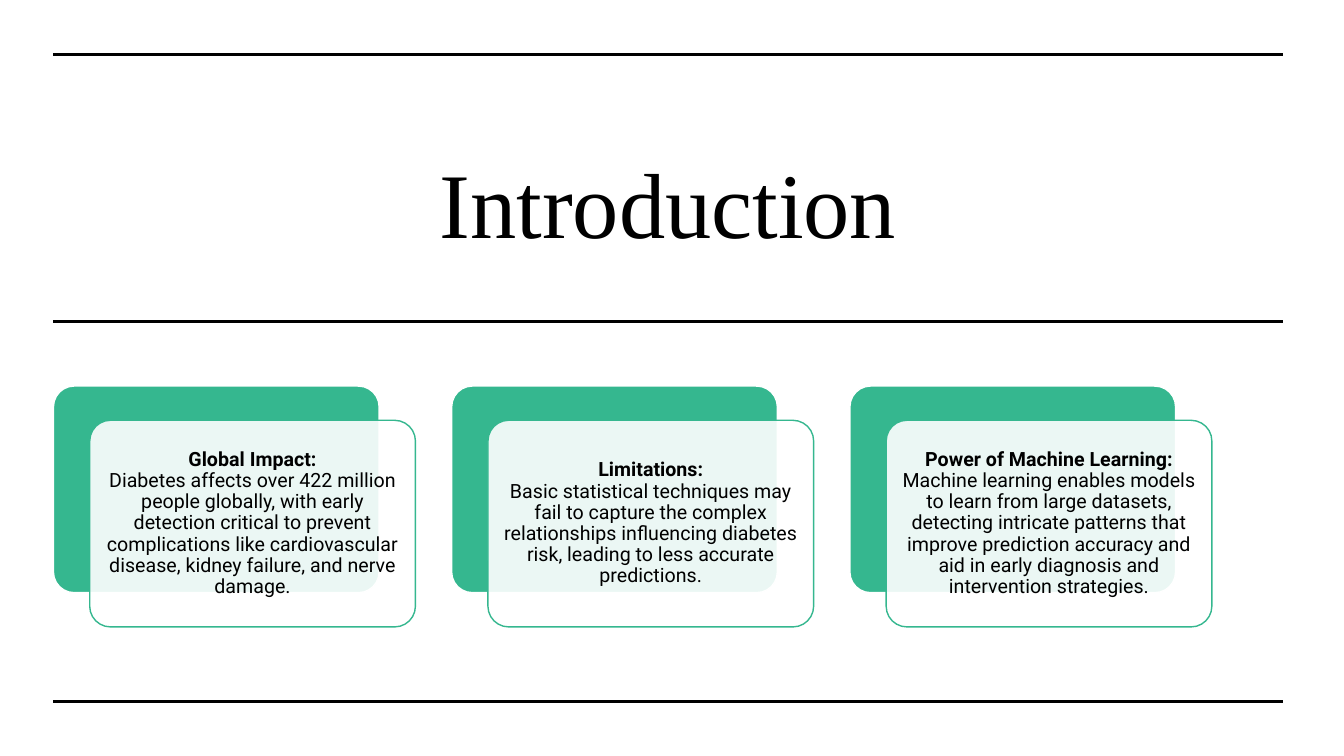
"""Build the introduction slide with three layered cards."""
from dataclasses import dataclass

from lxml.etree import SubElement
from pptx import Presentation
from pptx.dml.color import RGBColor
from pptx.enum.shapes import MSO_CONNECTOR, MSO_SHAPE
from pptx.enum.text import MSO_ANCHOR, MSO_AUTO_SIZE, PP_ALIGN
from pptx.oxml.ns import qn
from pptx.util import Inches, Pt

WIDTH, HEIGHT = Inches(13.33), Inches(7.5)
LEFT, SPAN = 3.98, 91.45
RULE_ROWS = (7.2, 42.53, 92.8)
CARD_TOP, CARD_WIDTH, CARD_HEIGHT, CARD_PITCH = 51.07, 24.23, 27.33, 29.63
SHIFT_X, SHIFT_Y = 2.7, 4.53

CARDS = (
    ("Global Impact:",
     "Diabetes affects over 422 million people globally, with early detection "
     "critical to prevent complications like cardiovascular disease, kidney "
     "failure, and nerve damage."),
    ("Limitations:",
     "Basic statistical techniques may fail to capture the complex "
     "relationships influencing diabetes risk, leading to less accurate "
     "predictions."),
    ("Power of Machine Learning:",
     "Machine learning enables models to learn from large datasets, detecting "
     "intricate patterns that improve prediction accuracy and aid in early "
     "diagnosis and intervention strategies."),
)


@dataclass(frozen=True)
class Theme:
    """Colours, fonts and sizes of the slide."""
    ink: RGBColor = RGBColor(0x00, 0x00, 0x00)
    paper: RGBColor = RGBColor(0xFF, 0xFF, 0xFF)
    accent: RGBColor = RGBColor(0x35, 0xB7, 0x8F)
    title_font: str = "Times New Roman"
    body_font: str = "Roboto"
    title_size: int = 66
    body_size: int = 14
    rule_width: float = 2.25
    card_line: float = 1


THEME = Theme()


def col(n):
    """Return n hundredths of the slide width."""
    return round(WIDTH * n / 100)


def row(n):
    """Return n hundredths of the slide height."""
    return round(HEIGHT * n / 100)


def add_text(p, text, *, font=THEME.body_font, size=THEME.body_size,
             bold=False, color=THEME.ink):
    """Add a formatted run to a paragraph."""
    r = p.add_run()
    r.text = text
    r.font.name = font
    r.font.size = Pt(size)
    r.font.bold = bold
    r.font.color.rgb = color


def prepare_frame(sp, spacing, inset):
    """Centre a shape's text frame and return its first paragraph."""
    tf = sp.text_frame
    tf.word_wrap = True
    tf.auto_size = MSO_AUTO_SIZE.NONE
    tf.vertical_anchor = MSO_ANCHOR.MIDDLE
    tf.margin_left = tf.margin_right = inset
    tf.margin_top = tf.margin_bottom = inset
    p = tf.paragraphs[0]
    p.alignment = PP_ALIGN.CENTER
    p.line_spacing = spacing
    return p


def set_title(slide, text):
    """Place and format the title."""
    sp = slide.shapes.title
    sp.left, sp.top = col(LEFT), row(14.27)
    sp.width, sp.height = col(SPAN), row(21.73)
    p = prepare_frame(sp, 1.2, Inches(0.05))
    add_text(p, text, font=THEME.title_font, size=THEME.title_size)


def add_rule(slide, y):
    """Draw a horizontal rule across the content width."""
    line = slide.shapes.add_connector(
        MSO_CONNECTOR.STRAIGHT, col(LEFT), row(y), col(LEFT + SPAN), row(y))
    line.line.color.rgb = THEME.ink
    line.line.width = Pt(THEME.rule_width)
    SubElement(line._element.spPr, qn("a:effectLst"))


def add_panel(slide, x, y, fill, outline):
    """Add one rounded panel of a card."""
    sp = slide.shapes.add_shape(MSO_SHAPE.ROUNDED_RECTANGLE, col(x), row(y),
                                col(CARD_WIDTH), row(CARD_HEIGHT))
    sp.adjustments[0] = 0.1
    sp.shadow.inherit = False
    sp.fill.solid()
    sp.fill.fore_color.rgb = fill
    sp.line.color.rgb = outline
    sp.line.width = Pt(THEME.card_line)
    return sp


def set_opacity(sp, percent):
    """Make a shape's solid fill partly transparent."""
    color = sp._element.spPr.find(qn("a:solidFill"))[0]
    SubElement(color, qn("a:alpha"), val=str(percent * 1000))


def add_card(slide, x, heading, body):
    """Add a back panel and a translucent front panel with text."""
    add_panel(slide, x, CARD_TOP, THEME.accent, THEME.paper)
    front = add_panel(slide, x + SHIFT_X, CARD_TOP + SHIFT_Y,
                      THEME.paper, THEME.accent)
    set_opacity(front, 90)
    p = prepare_frame(front, 0.9, Inches(0.06))
    add_text(p, heading, bold=True)
    p.add_line_break()
    add_text(p, body)


def main():
    """Create and save the presentation."""
    prs = Presentation()
    prs.slide_width, prs.slide_height = WIDTH, HEIGHT
    slide = prs.slides.add_slide(prs.slide_layouts.get_by_name("Title Only"))
    set_title(slide, "Introduction")
    for y in RULE_ROWS:
        add_rule(slide, y)
    for i, (heading, body) in enumerate(CARDS):
        add_card(slide, LEFT + i * CARD_PITCH, heading, body)
    prs.save("out.pptx")


if __name__ == "__main__":
    main()
